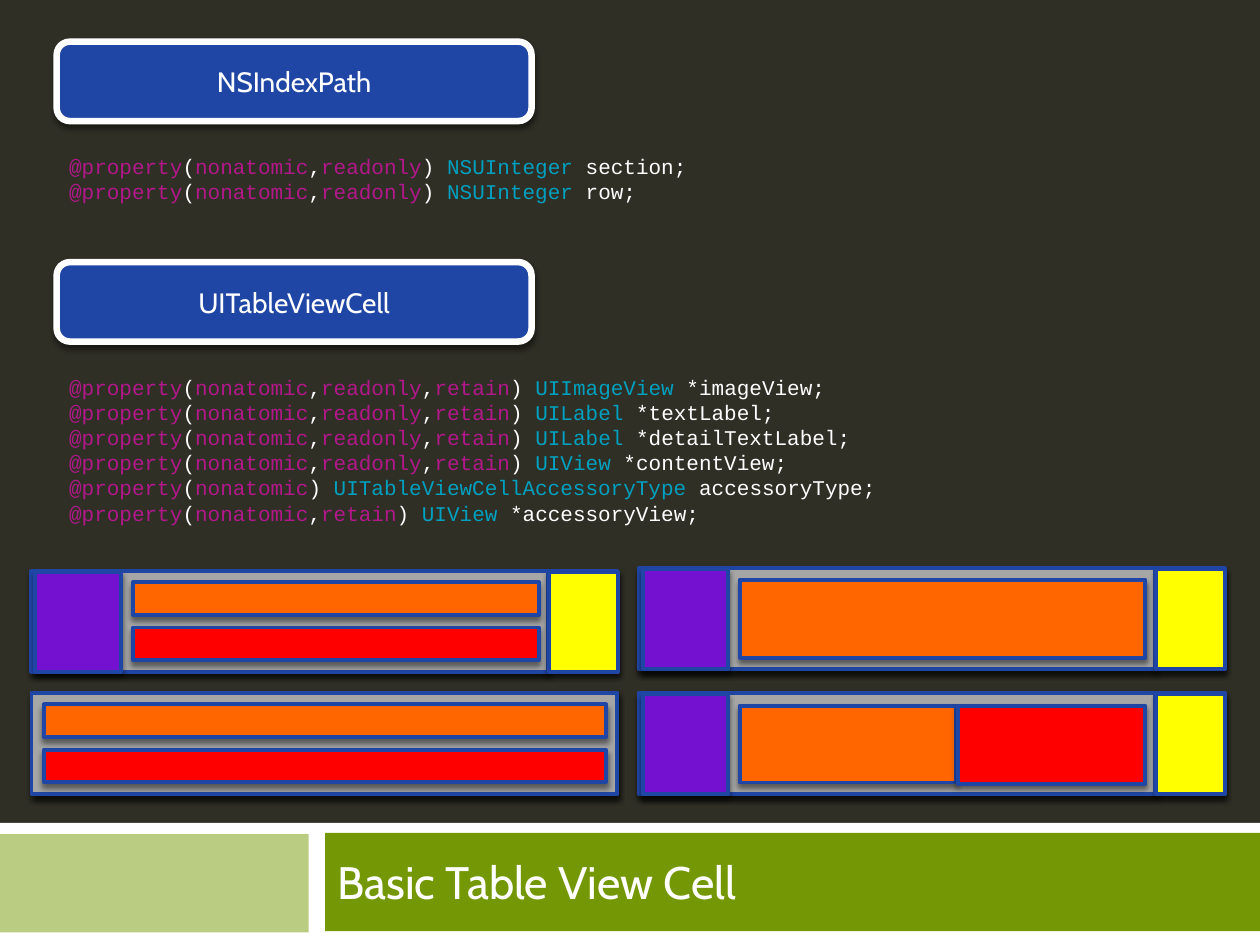
import pptx
import pptx.util
import pptx.dml.color
import pptx.enum.shapes
import pptx.enum.text
import pptx.oxml.ns
import lxml.etree

Pt = pptx.util.Pt
KIND = pptx.enum.shapes.MSO_SHAPE
ALIGN = pptx.enum.text.PP_ALIGN
ANCHOR = pptx.enum.text.MSO_ANCHOR
FIT = pptx.enum.text.MSO_AUTO_SIZE

HUES = {
    "back": "2F2F26", "white": "FFFFFF", "pale": "BACC82", "green": "749805",
    "blue": "2046A5", "gray": "A6A6A6", "image": "7411D0", "label": "FF6600",
    "detail": "FF0000", "extra": "FFFF00", "key": "B21889", "type": "00A0BE",
    "black": "000000",
}

INDEX = [
    [("nonatomic,readonly", "NSUInteger", "section;")],
    [("nonatomic,readonly", "NSUInteger", "row;")],
]
VIEW = "nonatomic,readonly,retain"
CELL = [
    [(VIEW, "UIImageView", "*imageView;")],
    [(VIEW, "UILabel", "*textLabel;")],
    [(VIEW, "UILabel", "*detailTextLabel; "), (VIEW, "UIView", "*contentView;")],
    [("nonatomic", "UITableViewCellAccessoryType", "accessoryType;")],
    [("nonatomic,retain", "UIView", "*accessoryView;")],
]

SIDES = [("image", 0, 0.7, 49, 56.9), ("extra", 293.5, 0.7, 39.5, 56.9)]
CELLS = [
    (20.2, 326.2, 295.2, SIDES, [("label", 55.8, 6.5, 231.8, 18.7),
                                 ("detail", 55.8, 32.4, 231.8, 18.7)]),
    (20.2, 396, 334.8, [], [("label", 5, 6.5, 321.1, 18.7),
                            ("detail", 5, 32.4, 321.1, 18.7)]),
    (367.2, 324.7, 295.2, SIDES, [("label", 55.5, 6.5, 231.8, 44.6)]),
    (367.2, 396, 295.2, SIDES, [("label", 55.5, 7.2, 123.8, 44),
                                ("detail", 180, 7.2, 107.3, 44.6)]),
]


def tint(name):
    """Return the named colour."""
    return pptx.dml.color.RGBColor.from_string(HUES[name])


def write(para, text, font="Cabin", size=12, hue="white"):
    """Add a formatted run to a paragraph."""
    run = para.add_run()
    run.text = text
    run.font.name = font
    run.font.size = Pt(size)
    run.font.color.rgb = tint(hue)


def shade(shape):
    """Give a shape a soft shadow straight below it."""
    tag = pptx.oxml.ns.qn
    list_ = shape._element.spPr.find(tag("a:effectLst"))
    drop = lxml.etree.SubElement(
        list_, tag("a:outerShdw"), blurRad=str(Pt(3)), dist=str(Pt(2.4)),
        dir="5400000", algn="ctr", rotWithShape="0")
    tone = lxml.etree.SubElement(drop, tag("a:srgbClr"), val=HUES["black"])
    lxml.etree.SubElement(tone, tag("a:alpha"), val="45000")


class Deck:
    """Hold the style and the current slide."""

    def __init__(self):
        self.file = pptx.Presentation()
        self.file.slide_width, self.file.slide_height = Pt(720), Pt(540)
        self.slide = self.file.slides.add_slide(self.file.slide_layouts[6])
        fill = self.slide.background.fill
        fill.solid()
        fill.fore_color.rgb = tint("back")

    def box(self, hue, *spot, home=None, kind=KIND.RECTANGLE, edge=None, thick=2.25):
        """Draw a filled shape, shadowed when it has an edge."""
        home = home or self.slide
        shape = home.shapes.add_shape(kind, *map(Pt, spot))
        shape.shadow.inherit = False
        shape.fill.solid()
        shape.fill.fore_color.rgb = tint(hue)
        if edge:
            shape.line.color.rgb = tint(edge)
            shape.line.width = Pt(thick)
            shade(shape)
        else:
            shape.line.fill.background()
        return shape

    def badge(self, text, top):
        """Draw a class name in a rounded box."""
        shape = self.box("blue", 32.4, top, 271.4, 45.4, edge="white",
                         kind=KIND.ROUNDED_RECTANGLE, thick=3.75)
        frame = shape.text_frame
        frame.vertical_anchor = ANCHOR.MIDDLE
        frame.paragraphs[0].alignment = ALIGN.CENTER
        write(frame.paragraphs[0], text, size=16)

    def text(self, *spot):
        """Add an empty wrapping text box and return its frame."""
        frame = self.slide.shapes.add_textbox(*map(Pt, spot)).text_frame
        frame.word_wrap = True
        return frame

    def title(self, text):
        """Write the title in the green band."""
        frame = self.text(185.8, 476.6, 527.8, 54)
        frame.vertical_anchor = ANCHOR.MIDDLE
        frame.paragraphs[0].space_before = Pt(7)
        write(frame.paragraphs[0], text, size=26)

    def code(self, lines, top, high):
        """Write coloured property lines."""
        frame = self.text(32.4, top, 663.1, high)
        frame.auto_size = FIT.SHAPE_TO_FIT_TEXT
        for row, line in enumerate(lines):
            para = frame.add_paragraph() if row else frame.paragraphs[0]
            for flags, type_, name in line:
                runs = [("@property", "key")]
                for spot, flag in enumerate(flags.split(",")):
                    runs += [("," if spot else "(", "white"), (flag, "key")]
                runs += [(") ", "white"), (type_, "type"), (" " + name, "white")]
                for text, hue in runs:
                    write(para, text, font="Courier New", hue=hue)

    def cell(self, left, top, wide, sides, bars):
        """Draw one table cell layout as a group."""
        group = self.slide.shapes.add_group_shape()
        parts = [("white", 0, 0, 332.6, 57.6), ("gray", -2.2, 0, wide, 57.6)]
        for hue, x, y, w, h in parts + sides[:1] + bars + sides[1:]:
            self.box(hue, left + x, top + y, w, h, home=group, edge="blue")


def main():
    """Build the slide."""
    deck = Deck()
    deck.box("white", 0, 470.2, 720, 69.8)
    deck.box("pale", -0.7, 476.6, 177.1, 56.2)
    deck.box("green", 185.8, 475.9, 534.2, 56.2)
    deck.title("Basic Table View Cell")
    deck.badge("NSIndexPath", 23.8)
    deck.code(INDEX, 84.2, 36)
    deck.badge("UITableViewCell", 149.8)
    deck.code(CELL, 210.2, 94.3)
    for cell in CELLS:
        deck.cell(*cell)
    deck.file.save("out.pptx")


if __name__ == "__main__":
    main()
